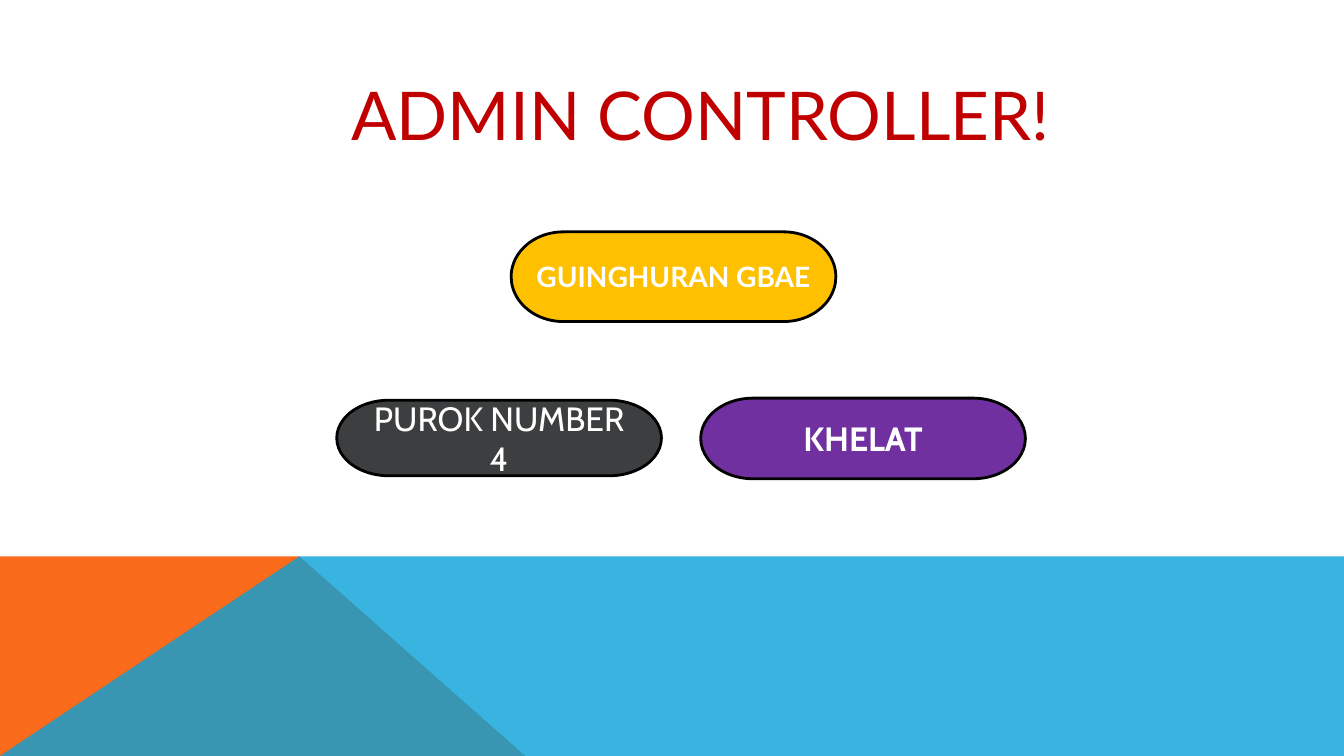
from lxml import etree
from pptx import Presentation
from pptx.dml.color import RGBColor
from pptx.enum.shapes import MSO_SHAPE
from pptx.enum.text import MSO_ANCHOR, MSO_AUTO_SIZE, PP_ALIGN
from pptx.oxml.ns import qn
from pptx.util import Inches, Pt

WIDTH, HEIGHT = 13.33, 7.5
BAND_TOP, PEAK = 5.52, 2.97
PILL_WIDTH = 3.22
PILLS = [
    ("GUINGHURAN GBAE", 5.07, 2.3, 0.89, "FFC000", "Lato", 20, True),
    ("KHELAT", 6.95, 3.95, 0.8, "7030A0", "Cabin", 24, True),
    ("PUROK NUMBER 4", 3.34, 3.97, 0.75, "3C3E3F", "Cabin", 24, False),
]


def color(value):
    """Turn a hex string into a colour."""
    return RGBColor.from_string(value)


def place(shape, left, top, width, height):
    """Move and size a shape in inches."""
    shape.left, shape.top = Inches(left), Inches(top)
    shape.width, shape.height = Inches(width), Inches(height)


def write(shape, text, font, size, ink, bold=False):
    """Write one centred line of text and return its run."""
    frame = shape.text_frame
    frame.word_wrap = True
    frame.auto_size = MSO_AUTO_SIZE.NONE
    frame.vertical_anchor = MSO_ANCHOR.MIDDLE
    para = frame.paragraphs[0]
    para.alignment = PP_ALIGN.CENTER
    span = para.add_run()
    span.text = text
    span.font.name, span.font.size, span.font.bold = font, Pt(size), bold
    span.font.color.rgb = color(ink)
    return span


def add_title(page, box):
    """Place the red title with its thin yellow outline."""
    title = page.shapes.title
    place(title, *box)
    span = write(title, "ADMIN CONTROLLER!", "Lato", 48, "C00000")
    outline = etree.Element(qn("a:ln"), w=str(Pt(0.75)))
    fill = etree.SubElement(outline, qn("a:solidFill"))
    etree.SubElement(fill, qn("a:srgbClr"), val="FFFF00")
    span.font._element.insert(0, outline)


def add_polygon(page, points, fill, opacity=100):
    """Draw a closed borderless polygon from points in inches."""
    start, *rest = [(Inches(x), Inches(y)) for x, y in points]
    builder = page.shapes.build_freeform(*start)
    builder.add_line_segments(rest, close=True)
    shape = builder.convert_to_shape()
    shape.shadow.inherit = False
    shape.fill.solid()
    shape.fill.fore_color.rgb = color(fill)
    shape.line.fill.background()
    if opacity < 100:
        tint = shape._element.spPr.find(".//" + qn("a:srgbClr"))
        etree.SubElement(tint, qn("a:alpha"), val=str(opacity * 1000))


def add_band(page, left, top, width, height):
    """Draw the orange wedge under the translucent blue band."""
    right, bottom, peak = left + width, top + height, left + PEAK
    add_polygon(page, [(left, bottom), (left, top), (peak, top), (5.21, bottom)], "F96A1B")
    add_polygon(page, [(left, bottom), (peak, top), (right, top), (right, bottom)], "08A1D9", 80)


def add_pill(page, text, left, top, height, fill, font, size, bold):
    """Draw one black-edged label pill."""
    pill = page.shapes.add_shape(MSO_SHAPE.FLOWCHART_TERMINATOR, 0, 0, 0, 0)
    place(pill, left, top, PILL_WIDTH, height)
    pill.shadow.inherit = False
    pill.fill.solid()
    pill.fill.fore_color.rgb = color(fill)
    pill.line.color.rgb = color("000000")
    pill.line.width = Pt(2)
    write(pill, text, font, size, "FFFFFF", bold)


def main():
    """Build and save the slide."""
    deck = Presentation()
    deck.slide_width, deck.slide_height = Inches(WIDTH), Inches(HEIGHT)
    page = deck.slides.add_slide(deck.slide_layouts[5])
    add_band(page, 0, BAND_TOP, WIDTH, HEIGHT - BAND_TOP)
    add_title(page, (1.2, 0.4, 11.5, 1.45))
    for pill in PILLS:
        add_pill(page, *pill)
    deck.save("out.pptx")


if __name__ == "__main__":
    main()
